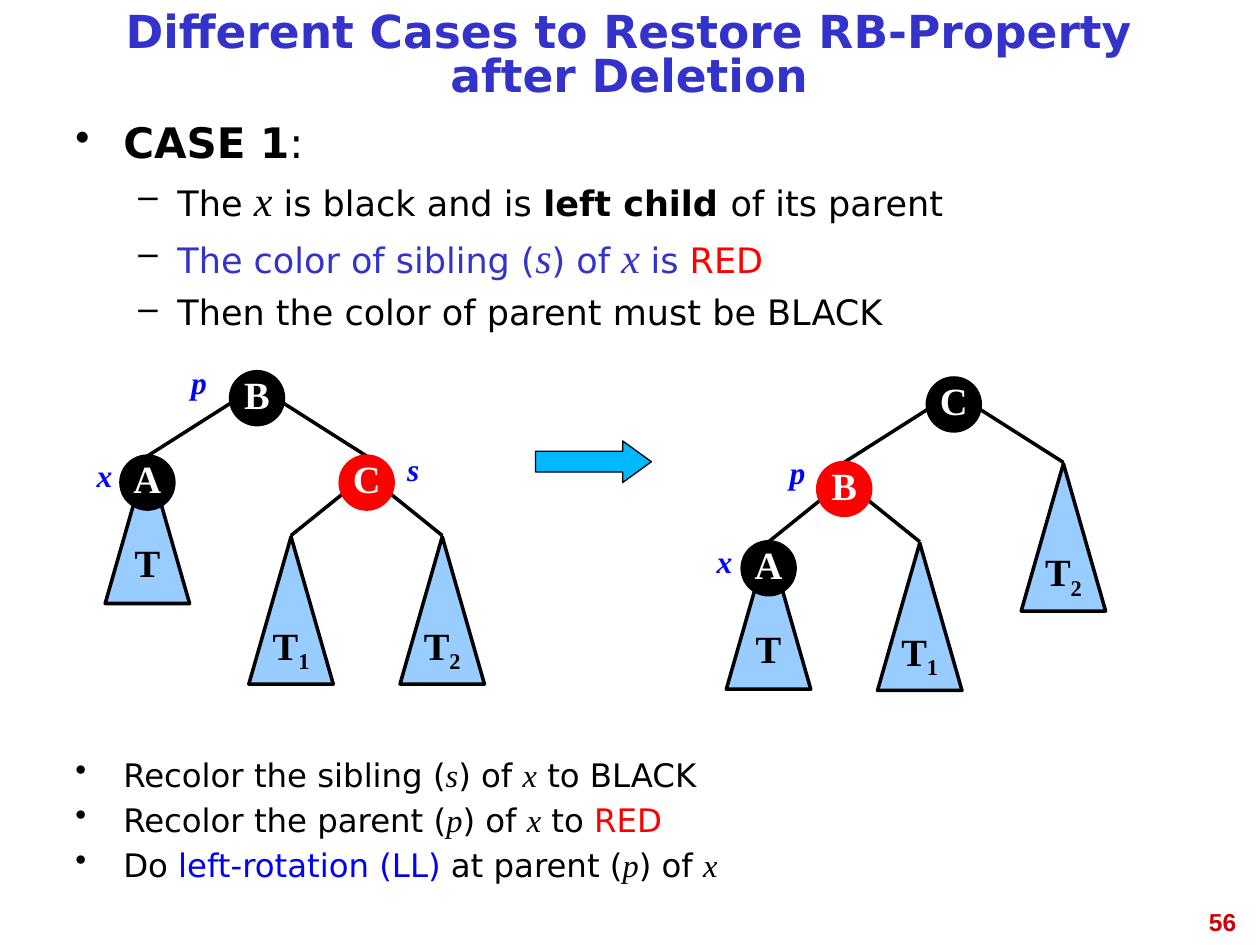
from lxml import etree
from pptx import Presentation
from pptx import util as u
from pptx.dml import color as col
from pptx.enum import shapes as sh, text as tx
from pptx.oxml import ns


class Theme:
    sans, serif, page = "DejaVu Sans", "Times New Roman", "Arial"
    black, white, red = "000000", "FFFFFF", "FF0000"
    indigo, blue, sky, cyan, crimson = "3333CC", "0000FF", "99CCFF", "00B8FF", "CC0000"
    title, head, item, step, node, label, num = 26, 24, 20, 18.5, 22, 18, 14


T = Theme
ALIGN = tx.PP_ALIGN
SIZE = 0.42             # node diameter
TREE_W, TREE_H = 0.67, 1.17
# per level: edge start (x, y) and end (x, y), measured from the node's centre
EDGES = [((0.21, 0.04), (0.87, 0.46)), ((0.19, 0.09), (0.6, 0.42))]


def style(size, hue=T.black, name=T.sans, bold=False, italic=False):
    return dict(size=u.Pt(size), name=name, bold=bold, italic=italic, hue=hue)


def var(size, hue=T.black):
    """Style of a variable name in running text."""
    return style(size, hue, T.serif, italic=True)


def assign(obj, vals):
    for key, val in vals.items():
        setattr(obj, key, val)


def write(para, runs, **form):
    """Fill a paragraph with (text, style) runs."""
    assign(para, form)
    for words, look in runs:
        run = para.add_run()
        run.text = words
        look = dict(look)
        run.font.color.rgb = col.RGBColor.from_string(look.pop("hue"))
        base = look.pop("base", None)
        if base:
            run._r.get_or_add_rPr().set("baseline", str(base))
        assign(run.font, look)


def box(slide, place, **form):
    """Add an empty text box and return its frame."""
    frame = slide.shapes.add_textbox(*map(u.Inches, place)).text_frame
    assign(frame, dict(word_wrap=True, **form))
    return frame


def bullet(para, mark, left, hang):
    props = para._p.get_or_add_pPr()
    props.set("marL", str(u.Inches(left)))
    props.set("indent", str(-u.Inches(hang)))
    hue = etree.SubElement(props, ns.qn("a:buClr"))
    etree.SubElement(hue, ns.qn("a:srgbClr")).set("val", T.black)
    etree.SubElement(props, ns.qn("a:buChar")).set("char", mark)


def bullets(slide, place, rows, line):
    """Add a list of (level, space before, runs) rows."""
    frame = box(slide, place)
    marks = [("•", 0.38, 0.38), ("–", 0.81, 0.31)]
    for i, (level, gap, runs) in enumerate(rows):
        para = frame.add_paragraph() if i else frame.paragraphs[0]
        bullet(para, *marks[level])
        write(para, runs, level=level, alignment=ALIGN.JUSTIFY,
              line_spacing=line, space_before=u.Pt(gap if i else 0))


def shape(slide, kind, place, fill, edge=T.black, width=2, runs=()):
    item = slide.shapes.add_shape(kind, *map(u.Inches, place))
    item.shadow.inherit = False
    item.fill.solid()
    item.fill.fore_color.rgb = col.RGBColor.from_string(fill)
    item.line.color.rgb = col.RGBColor.from_string(edge)
    item.line.width = u.Pt(width)
    if runs:
        frame = item.text_frame
        assign(frame, dict(word_wrap=False, vertical_anchor=tx.MSO_ANCHOR.MIDDLE))
        write(frame.paragraphs[0], runs, alignment=ALIGN.CENTER, line_spacing=0.81)
    return item


def edge(slide, *ends):
    line = slide.shapes.add_connector(sh.MSO_CONNECTOR.STRAIGHT, *map(u.Inches, ends))
    line.line.color.rgb = col.RGBColor.from_string(T.black)
    line.line.width = u.Pt(2)
    etree.SubElement(line._element.spPr, ns.qn("a:effectLst"))


def node(slide, x, y, name, fill):
    """Draw a tree node centred on x, y."""
    shape(slide, sh.MSO_SHAPE.OVAL, (x - SIZE / 2, y - SIZE / 2, SIZE, SIZE), fill, fill,
          runs=[(name, style(T.node, T.white, T.serif, bold=True))])


def subtree(slide, x, y, sub):
    """Draw a triangle with its tip at x, y."""
    look = style(T.node, name=T.serif, bold=True)
    runs = [("T", look)] + ([(sub, dict(look, base=-25000))] if sub else [])
    shape(slide, sh.MSO_SHAPE.ISOSCELES_TRIANGLE,
          (x - TREE_W / 2, y, TREE_W, TREE_H), T.sky, runs=runs)


def tree(slide, x, y, name, fill, kids, depth=0):
    """Draw a node and its children; a string child is a bare subtree."""
    if isinstance(kids, str):
        subtree(slide, x, y - SIZE / 2, kids)
    else:
        (ax, ay), (bx, by) = EDGES[depth]
        for side, kid in zip((-1, 1), kids):
            tipx, tipy = x + side * bx, y + by
            edge(slide, x + side * ax, y + ay, tipx, tipy)
            if isinstance(kid, str):
                subtree(slide, tipx, tipy + 0.01, kid)
            else:
                tree(slide, tipx, tipy + SIZE / 2, *kid, depth + 1)
    node(slide, x, y, name, fill)


def label(slide, x, y, name):
    """Add a pointer name centred on x."""
    frame = box(slide, (x - 0.25, y, 0.5, 0.4))
    write(frame.paragraphs[0], [(name, style(T.label, T.blue, T.serif, True, True))],
          alignment=ALIGN.CENTER)


def main():
    deck = Presentation()
    deck.slide_width, deck.slide_height = u.Inches(10), u.Inches(7.5)
    slide = deck.slides.add_slide(deck.slide_layouts[6])

    # Page number and title
    write(box(slide, (7.58, 7.15, 2.33, 0.52)).paragraphs[0],
          [("56", style(T.num, T.crimson, T.page, bold=True))], alignment=ALIGN.RIGHT)
    title = box(slide, (0.5, 0.08, 8.99, 0.75), vertical_anchor=tx.MSO_ANCHOR.MIDDLE)
    write(title.paragraphs[0],
          [("Different Cases to Restore RB-Property after Deletion",
            style(T.title, T.indigo, bold=True))],
          alignment=ALIGN.CENTER, line_spacing=0.81)

    # Conditions of the case
    item, tint = style(T.item), style(T.item, T.indigo)
    big = var(T.head, T.indigo)
    bullets(slide, (0.5, 0.92, 8.99, 1.92), [
        (0, 8, [("CASE 1", style(T.head, bold=True)), (":", style(T.head))]),
        (1, 7, [("The ", item), ("x", var(T.head)), (" is black and is ", item),
                ("left child ", style(T.item, bold=True)), ("of its parent", item)]),
        (1, 7, [("The color of sibling (", tint), ("s", big), (") of ", tint),
                ("x ", big), ("is ", tint), ("RED", style(T.item, T.red))]),
        (1, 7, [("Then the color of parent must be BLACK", item)]),
    ], 0.9)

    # Trees before and after the rotation
    leaf = ("A", T.black, "")
    tree(slide, 2.04, 3.16, "B", T.black, [leaf, ("C", T.red, ["1", "2"])])
    tree(slide, 7.57, 3.21, "C", T.black, [("B", T.red, [leaf, "1"]), "2"])
    for spot in [(1.58, 2.83, "p"), (3.28, 3.52, "s"), (0.83, 3.57, "x"),
                 (6.33, 3.55, "p"), (5.75, 4.25, "x")]:
        label(slide, *spot)
    arrow = shape(slide, sh.MSO_SHAPE.RIGHT_ARROW, (4.25, 3.5, 0.92, 0.33),
                  T.cyan, width=0.75)
    arrow.adjustments[1] = 0.69

    # Steps of the repair
    step, name = style(T.step), var(T.step)
    bullets(slide, (0.5, 6, 8.99, 1.25), [
        (0, 8, [("Recolor the sibling (", step), ("s", name), (") of ", step),
                ("x", name), (" to BLACK", step)]),
        (0, 8, [("Recolor the parent (", step), ("p", name), (") of ", step),
                ("x", name), (" to ", step), ("RED", style(T.step, T.red))]),
        (0, 8, [("Do ", step), ("left-rotation (LL)", style(T.step, T.blue)),
                (" at parent (", step), ("p", name), (") of ", step), ("x", name)]),
    ], 0.8)

    deck.save("out.pptx")


if __name__ == "__main__":
    main()
